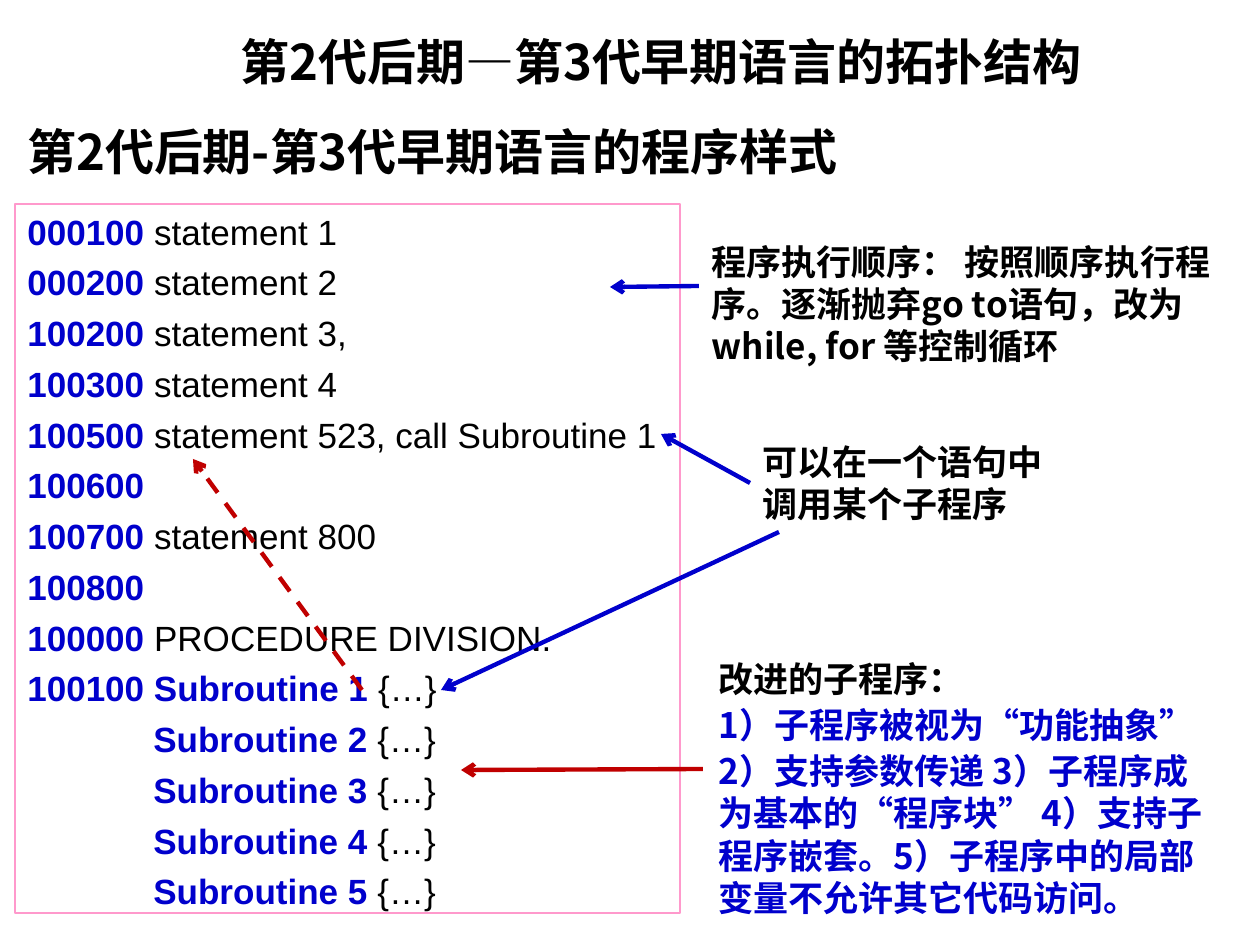
from lxml import etree
from pptx import Presentation
from pptx.dml.color import RGBColor
from pptx.enum.dml import MSO_LINE
from pptx.enum.shapes import MSO_CONNECTOR, MSO_SHAPE
from pptx.enum.text import MSO_ANCHOR, MSO_AUTO_SIZE, PP_ALIGN
from pptx.oxml.ns import qn
from pptx.util import Pt

SCALE = 914400 / 126
TITLE_ONLY = 5
RECTANGLE = MSO_SHAPE.RECTANGLE
STRAIGHT = MSO_CONNECTOR.STRAIGHT
DASH = MSO_LINE.DASH
TOP, MIDDLE = MSO_ANCHOR.TOP, MSO_ANCHOR.MIDDLE
LEFT, CENTER = PP_ALIGN.LEFT, PP_ALIGN.CENTER
NO_AUTOFIT = MSO_AUTO_SIZE.NONE

LATIN_FONT = "Arial"
CHINESE_FONT = "Noto Sans CJK SC"
COLORS = {"black": "000000", "blue": "0000CC", "red": "C00000", "pink": "FF99CC"}

# Each line: bold blue part, plain black part
NUMBERED_LINES = [
    ("000100", " statement 1"),
    ("000200", " statement 2"),
    ("100200", " statement 3,"),
    ("100300", " statement 4"),
    ("100500", " statement 523, call Subroutine 1"),
    ("100600", ""),
    ("100700", " statement 800"),
    ("100800", ""),
    ("100000", " PROCEDURE DIVISION."),
    ("100100 Subroutine 1", " {…}"),
]
SUBROUTINE_LINES = [(f"Subroutine {number} ", "{…}") for number in range(2, 6)]


def px(length):
    """Turn pixels into EMU."""
    return round(length * SCALE)


def color(name):
    """Look up a colour by name."""
    return RGBColor.from_string(COLORS[name])


def format_run(run, size, font_name, color_name, bold=True):
    """Set the font of a run, for Latin and East Asian text alike."""
    run.font.size = Pt(size)
    run.font.name = font_name
    run.font.bold = bold
    run.font.color.rgb = color(color_name)
    east_asian = etree.SubElement(run.font._element, qn("a:ea"))
    east_asian.set("typeface", font_name)


def fill_text(shape, lines, size, anchor=TOP, alignment=LEFT, before=0, spacing=1.0):
    """Write (text, colour) lines into a shape, one paragraph each."""
    frame = shape.text_frame
    frame.text = "\n".join(text for text, _ in lines)
    frame.word_wrap = True
    frame.auto_size = NO_AUTOFIT
    frame.vertical_anchor = anchor
    for paragraph, (_, color_name) in zip(frame.paragraphs, lines):
        paragraph.alignment = alignment
        paragraph.space_before = Pt(before)
        paragraph.line_spacing = spacing
        for run in paragraph.runs:
            format_run(run, size, CHINESE_FONT, color_name)


def add_title(slide, box, text):
    """Place the slide title in its placeholder."""
    title = slide.shapes.title
    title.left, title.top, title.width, title.height = map(px, box)
    fill_text(title, [(text, "black")], 28, MIDDLE, CENTER)


def add_text(slide, box, lines, size=20, **options):
    """Add a Chinese text box."""
    fill_text(slide.shapes.add_textbox(*map(px, box)), lines, size, **options)


def add_code_listing(slide, box):
    """Add the framed program listing."""
    frame_shape = slide.shapes.add_shape(RECTANGLE, *map(px, box))
    frame_shape.shadow.inherit = False
    frame_shape.fill.background()
    frame_shape.line.color.rgb = color("pink")
    frame_shape.line.width = Pt(0.74)
    frame = frame_shape.text_frame
    frame.word_wrap = True
    frame.vertical_anchor = TOP
    for index, (label, code) in enumerate(NUMBERED_LINES + SUBROUTINE_LINES):
        paragraph = frame.add_paragraph() if index else frame.paragraphs[0]
        paragraph.alignment = LEFT
        paragraph.space_before = Pt(5)
        if index >= len(NUMBERED_LINES):
            paragraph._p.get_or_add_pPr().set("marL", str(px(126)))
        for text, color_name, bold in ((label, "blue", True), (code, "black", False)):
            if text:
                run = paragraph.add_run()
                run.text = text
                format_run(run, 20, LATIN_FONT, color_name, bold)


def add_arrow(slide, start, end, color_name, dash=None):
    """Add an arrow that points at its end."""
    arrow = slide.shapes.add_connector(STRAIGHT, *map(px, start + end))
    arrow.line.color.rgb = color(color_name)
    arrow.line.width = Pt(2.5)
    if dash is not None:
        arrow.line.dash_style = dash
    head = etree.SubElement(arrow.line._get_or_add_ln(), qn("a:tailEnd"))
    head.set("type", "arrow")
    etree.SubElement(arrow._element.spPr, qn("a:effectLst"))


def add_order_note(slide, left, top):
    """Add the note on execution order with its arrow."""
    text = "程序执行顺序： 按照顺序执行程序。逐渐抛弃go to语句，改为while, for 等控制循环"
    add_text(slide, (left, top, 535, 139), [(text, "black")])
    add_arrow(slide, (left, top + 52), (left - 89, top + 53), "blue")


def add_call_note(slide, left, top):
    """Add the note on calling subroutines with its two arrows."""
    lines = [("可以在一个语句中", "black"), ("调用某个子程序", "black")]
    add_text(slide, (left, top, 426, 97), lines)
    add_arrow(slide, (left, top + 49), (left - 89, top), "blue")
    add_arrow(slide, (left + 29, top + 98), (left - 309, top + 256), "blue")


def add_subroutine_note(slide, left, top):
    """Add the note on improved subroutines with its arrow."""
    lines = [
        ("改进的子程序：", "black"),
        ("1）子程序被视为“功能抽象”", "blue"),
        ("2）支持参数传递 3）子程序成为基本的“程序块” 4）支持子程序嵌套。"
         "5）子程序中的局部变量不允许其它代码访问。", "blue"),
    ]
    add_text(slide, (left, top, 529, 273), lines, before=2.5)
    add_arrow(slide, (left - 3, top + 118), (left - 245, top + 119), "red")


def build_slide(presentation):
    """Build the slide on program topology."""
    slide = presentation.slides.add_slide(presentation.slide_layouts[TITLE_ONLY])
    add_title(slide, (195, 16, 932, 90), "第2代后期—第3代早期语言的拓扑结构")
    add_text(slide, (15, 115, 942, 79), [("第2代后期-第3代早期语言的程序样式", "black")],
             size=28, anchor=MIDDLE, spacing=0.9)
    add_code_listing(slide, (15, 204, 665, 709))
    add_order_note(slide, 699, 234)
    add_call_note(slide, 750, 434)
    add_arrow(slide, (362, 690), (193, 459), "red", DASH)
    add_subroutine_note(slide, 706, 651)


presentation = Presentation()
presentation.slide_width, presentation.slide_height = px(1260), px(945)
build_slide(presentation)
presentation.save("out.pptx")
